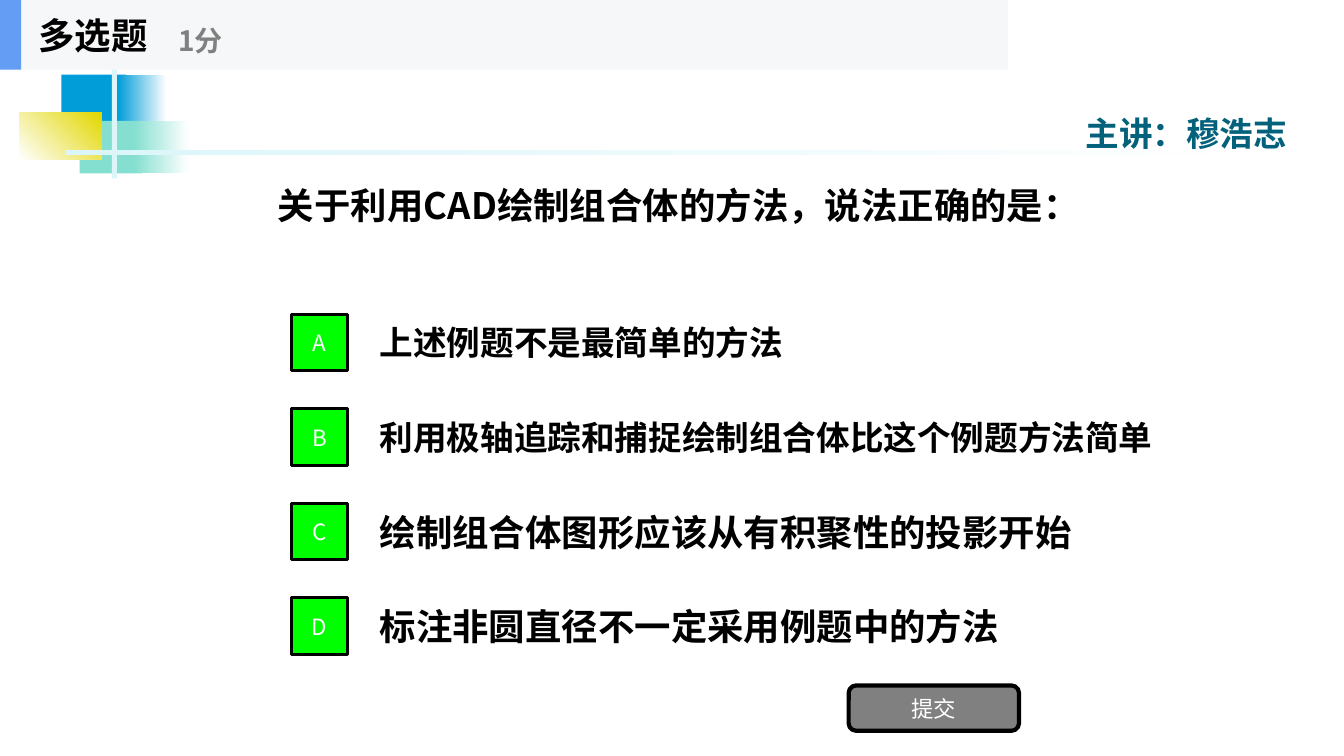
import pptx
import pptx.dml.color
import pptx.enum.shapes
import pptx.enum.text
import pptx.util
from lxml import etree

Pt = pptx.util.Pt
RGBColor = pptx.dml.color.RGBColor
Align = pptx.enum.text.PP_ALIGN
Shape = pptx.enum.shapes.MSO_SHAPE

BLACK = RGBColor(0x00, 0x00, 0x00)
WHITE = RGBColor(0xFF, 0xFF, 0xFF)
GRAY = RGBColor(0x80, 0x80, 0x80)
GREEN = RGBColor(0x00, 0xFF, 0x00)
BLUE = RGBColor(0x00, 0x9D, 0xD9)
MINT = RGBColor(0x85, 0xDF, 0xD0)
YELLOW = RGBColor(0xE2, 0xD7, 0x00)
PALE_CYAN = RGBColor(0xDB, 0xF5, 0xF9)
DARK_TEAL = RGBColor(0x04, 0x61, 0x7B)
HEADER_GRAY = RGBColor(0xF6, 0xF7, 0xF8)
HEADER_BLUE = RGBColor(0x63, 0x9E, 0xF4)

NOTO = "Noto Sans CJK SC"

# left, top, width, height; fill colours; gradient angle
ORNAMENTS = [
    ((43.9, 53.3, 46.1, 37.4), [BLUE], 0),
    ((84.2, 53.3, 34.6, 37.4), [BLUE, WHITE], 0),
    ((56.9, 86.4, 44.6, 37.4), [MINT], 0),
    ((95.8, 86.4, 38.9, 37.4), [MINT, WHITE], 0),
    ((13.7, 80.6, 59, 33.1), [WHITE, YELLOW], 45),
    ((79.9, 44.6, 3.6, 82.8), [PALE_CYAN], 0),
    ((46.8, 107.3, 864, 3.6), [PALE_CYAN, WHITE], 0),
]
HEADER_BARS = [
    ((0, 0, 720, 49.7), [HEADER_GRAY], 0),
    ((0, 0, 15.1, 49.7), [HEADER_BLUE], 0),
]
# text, place, size, colour, alignment
LABELS = [
    ("主讲：穆浩志", (739.4, 76.3, 216, 36.7), 24, DARK_TEAL, Align.CENTER),
    ("关于利用CAD绘制组合体的方法，说法正确的是：",
     (191.5, 97.2, 614.2, 97.9), 26, BLACK, Align.LEFT),
    ("多选题", (20.2, 0, 149.8, 49.7), 26, BLACK, Align.LEFT),
    ("1分", (120.2, 8.6, 180, 40.3), 20, GRAY, Align.LEFT),
]
# letter, answer, size, text width
OPTIONS = [
    ("A", "上述例题不是最简单的方法", 24, 504),
    ("B", "利用极轴追踪和捕捉绘制组合体比这个例题方法简单", 24, 576),
    ("C", "绘制组合体图形应该从有积聚性的投影开始", 26, 541.4),
    ("D", "标注非圆直径不一定采用例题中的方法", 26, 541.4),
]
OPTION_TOP, OPTION_STEP, OPTION_HEIGHT = 219.5, 67.5, 50.4
LETTER_LEFT, LETTER_SIZE, ANSWER_LEFT = 208.1, 40.3, 264.2
SUBMIT = ("提交", (606.2, 489.6, 121.7, 32.4))


def write(shape, text, size, color, align, font=NOTO, bold=False):
    frame = shape.text_frame
    frame.text = text
    frame.word_wrap = True
    frame.vertical_anchor = pptx.enum.text.MSO_ANCHOR.MIDDLE
    para = frame.paragraphs[0]
    para.alignment = align
    span = para.runs[0]
    span.font.name = font
    span.font.size = Pt(size)
    span.font.bold = bold
    span.font.color.rgb = color
    latin = span.font._element.find(pptx.oxml.ns.qn("a:latin"))
    east_asian = etree.Element(pptx.oxml.ns.qn("a:ea"), typeface=NOTO)
    latin.addnext(east_asian)


def add_label(page, place, *style, **options):
    box = page.shapes.add_textbox(*map(Pt, place))
    write(box, *style, bold=True, **options)


def add_block(page, place, colors, angle=0, kind=Shape.RECTANGLE):
    """Add a borderless shape with a solid or two-colour fill."""
    block = page.shapes.add_shape(kind, *map(Pt, place))
    block.shadow.inherit = False
    block.line.fill.background()
    if len(colors) == 1:
        block.fill.solid()
        block.fill.fore_color.rgb = colors[0]
    else:
        block.fill.gradient()
        block.fill.gradient_angle = angle
        for stop, color in zip(block.fill.gradient_stops, colors):
            stop.color.rgb = color
    return block


def add_button(page, text, place, color, border, kind=Shape.RECTANGLE):
    button = add_block(page, place, [color], kind=kind)
    button.line.color.rgb = BLACK
    button.line.width = Pt(border)
    write(button, text, 16, WHITE, Align.CENTER)


def main():
    deck = pptx.Presentation()
    deck.slide_width, deck.slide_height = Pt(960), Pt(540)
    page = deck.slides.add_slide(deck.slide_layouts[6])

    for place, colors, angle in ORNAMENTS + HEADER_BARS:
        add_block(page, place, colors, angle)
    for text, place, size, color, align in LABELS:
        add_label(page, place, text, size, color, align)

    for index, (letter, answer, size, width) in enumerate(OPTIONS):
        top = OPTION_TOP + index * OPTION_STEP
        add_label(page, (ANSWER_LEFT, top, width, OPTION_HEIGHT),
                  answer, size, BLACK, Align.LEFT, font="Arial")
        letter_top = top + (OPTION_HEIGHT - LETTER_SIZE) / 2
        add_button(page, letter, (LETTER_LEFT, letter_top, LETTER_SIZE, LETTER_SIZE),
                   GREEN, 2)

    add_button(page, *SUBMIT, GRAY, 3, Shape.ROUNDED_RECTANGLE)
    deck.save("out.pptx")


if __name__ == "__main__":
    main()
